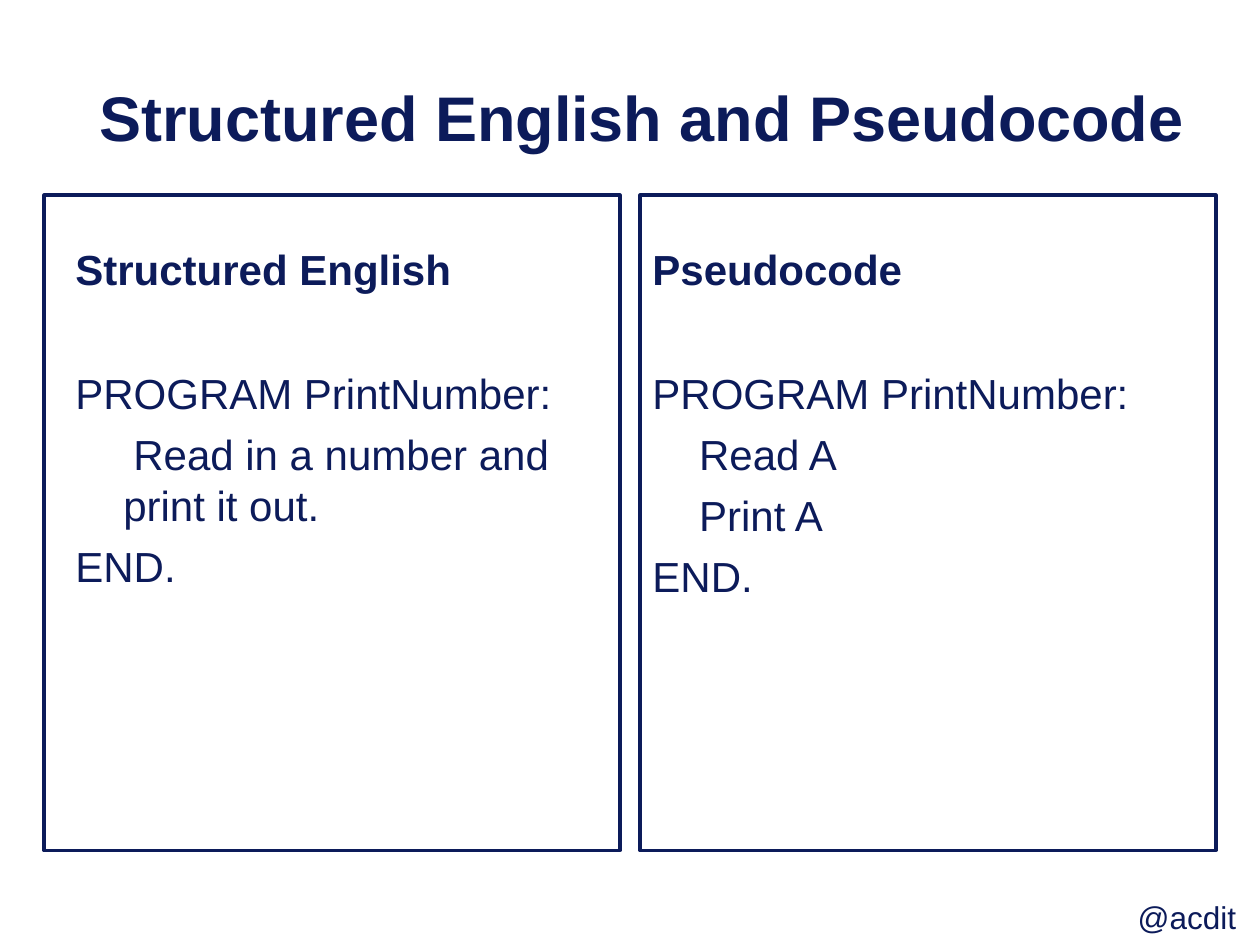
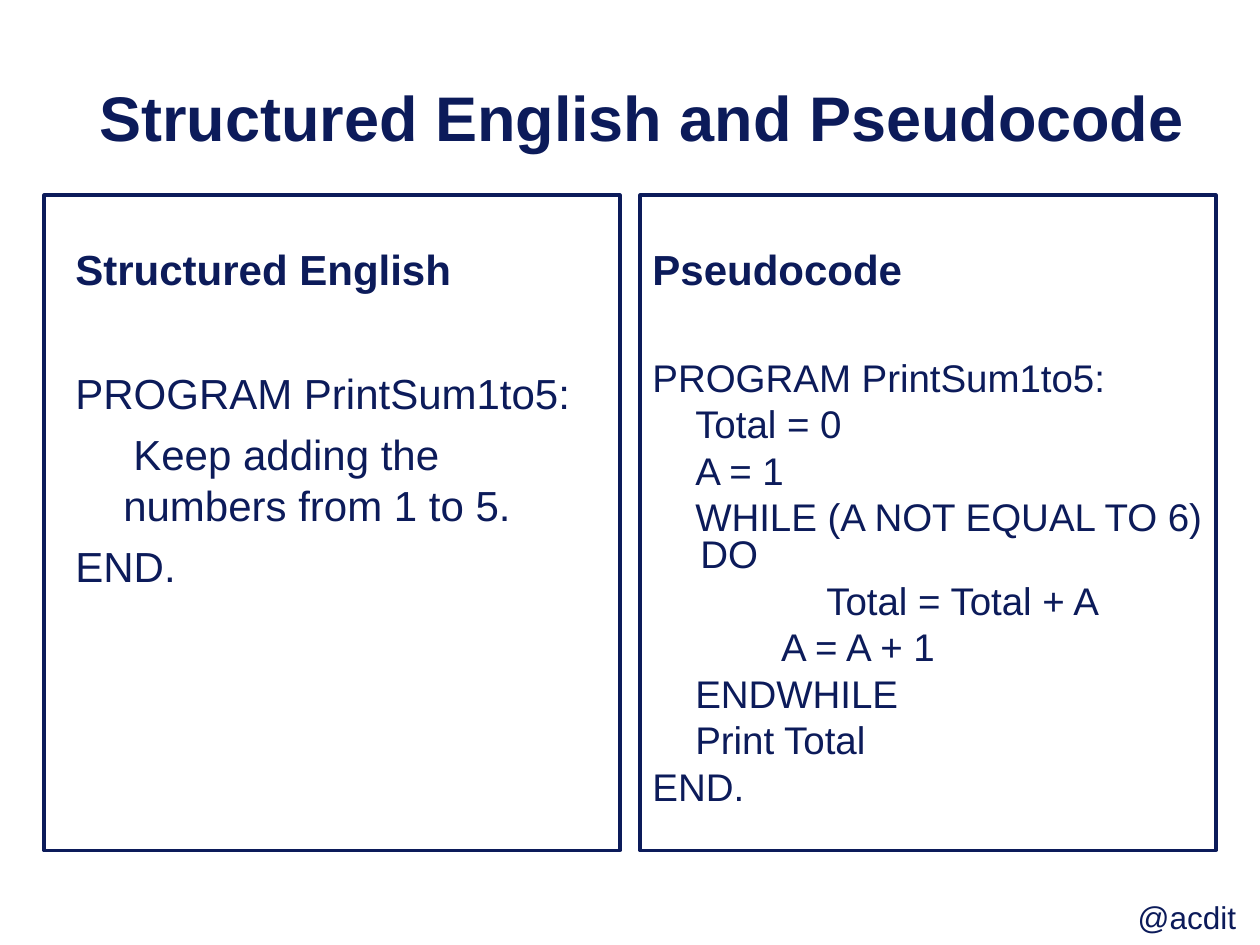
from dataclasses import dataclass

import pptx
import pptx.dml.color
import pptx.enum.shapes
import pptx.enum.text
import pptx.util
from pptx.util import Inches

ANCHOR = pptx.enum.text.MSO_ANCHOR
ALIGN = pptx.enum.text.PP_ALIGN


@dataclass(frozen=True)
class Theme:
    navy: pptx.dml.color.RGBColor = pptx.dml.color.RGBColor(0x0C, 0x1B, 0x5A)
    font: str = "Arial"
    title_size: int = 36
    heading_size: int = 24
    body_size: int = 24
    compact_size: int = 22
    footer_size: int = 18
    frame_width: int = 2
    hanging: float = 0.38


@dataclass(frozen=True)
class Listing:
    """Program text; each line is a first-line position in inches and its words."""
    lines: list
    compact: bool = False
    width: float = 4.42


class Builder:
    def __init__(self, deck, theme):
        self.deck = deck
        self.theme = theme
        self.slide = None

    def new_slide(self):
        self.slide = self.deck.slides.add_slide(self.deck.slide_layouts[6])

    def style(self, paragraph, size, bold=False):
        font = paragraph.font
        font.name = self.theme.font
        font.size = pptx.util.Pt(size)
        font.bold = bold
        font.color.rgb = self.theme.navy

    def text_box(self, left, top, width, height, anchor=ANCHOR.TOP, wrap=True):
        box = self.slide.shapes.add_textbox(
            Inches(left), Inches(top), Inches(width), Inches(height))
        box.text_frame.word_wrap = wrap
        box.text_frame.vertical_anchor = anchor
        return box.text_frame

    def label(self, frame, text, size, bold=False, align=ALIGN.LEFT):
        frame.text = text
        paragraph = frame.paragraphs[0]
        paragraph.alignment = align
        self.style(paragraph, size, bold)

    def title(self, text):
        frame = self.text_box(0.5, 0.3, 9, 1.25, ANCHOR.MIDDLE)
        self.label(frame, text, self.theme.title_size, True, ALIGN.RIGHT)

    def heading(self, left, text):
        frame = self.text_box(left, 1.68, 4.42, 0.7, ANCHOR.BOTTOM)
        self.label(frame, text, self.theme.heading_size, True)

    def listing(self, left, listing):
        theme = self.theme
        if listing.compact:
            size, pitch, gap, inset = theme.compact_size, 21.1, 5.5, 0.5
        else:
            size, pitch, gap, inset = theme.body_size, 28.8, 6, 0.54
        frame = self.text_box(left, 2.38, listing.width, 4.32)
        frame.margin_top = Inches(inset)
        for number, (start, text) in enumerate(listing.lines):
            paragraph = frame.add_paragraph() if number else frame.paragraphs[0]
            paragraph.text = text
            paragraph.line_spacing = pptx.util.Pt(pitch)
            paragraph.space_before = pptx.util.Pt(gap if number else 0)
            properties = paragraph._p.get_or_add_pPr()
            properties.set("marL", str(Inches(theme.hanging)))
            properties.set("indent", str(Inches(start - theme.hanging)))
            self.style(paragraph, size)

    def frame(self, left):
        frame = self.slide.shapes.add_shape(
            pptx.enum.shapes.MSO_SHAPE.RECTANGLE,
            Inches(left), Inches(1.55), Inches(4.57), Inches(5.2))
        frame.shadow.inherit = False
        frame.fill.background()
        frame.line.color.rgb = self.theme.navy
        frame.line.width = pptx.util.Pt(self.theme.frame_width)

    def footer(self, text):
        frame = self.text_box(8.93, 7.08, 0.98, 0.4, wrap=False)
        self.label(frame, text, self.theme.footer_size)

    def comparison(self, english, pseudocode):
        self.new_slide()
        self.title("Structured English and Pseudocode")
        columns = [(0.5, "Structured English", english),
                   (5.08, "Pseudocode", pseudocode)]
        for left, heading, listing in columns:
            self.heading(left, heading)
            self.listing(left, listing)
        for left in (0.35, 5.08):
            self.frame(left)
        self.footer("@acdit")


def main():
    deck = pptx.Presentation()
    deck.slide_width, deck.slide_height = Inches(10), Inches(7.5)
    builder = Builder(deck, Theme())

    builder.comparison(
        Listing([(0, "PROGRAM PrintNumber:"),
                 (0.46, "Read in a number and print it out."),
                 (0, "END.")]),
        Listing([(0, "PROGRAM PrintNumber:"),
                 (0.37, "Read A"),
                 (0.37, "Print A"),
                 (0, "END.")]))

    builder.comparison(
        Listing([(0, "PROGRAM PrintSum1to5:"),
                 (0.46, "Keep adding the numbers from 1 to 5."),
                 (0, "END.")]),
        Listing([(0, "PROGRAM PrintSum1to5:"),
                 (0.34, "Total = 0"),
                 (0.34, "A = 1"),
                 (0.34, "WHILE (A NOT EQUAL TO 6) DO"),
                 (1.38, "Total = Total + A"),
                 (1.02, "A = A + 1"),
                 (0.34, "ENDWHILE"),
                 (0.34, "Print Total"),
                 (0, "END.")],
                compact=True, width=4.59))

    deck.save("out.pptx")


if __name__ == "__main__":
    main()
